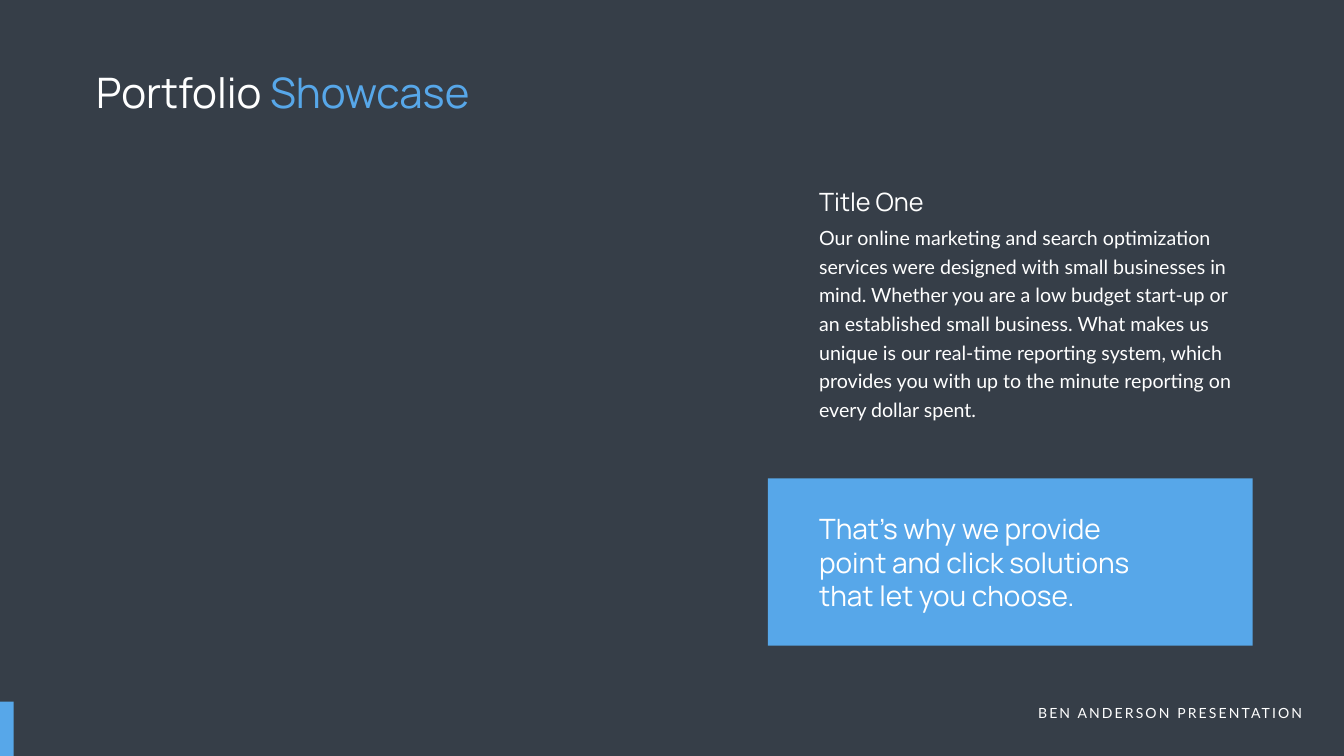
from pptx import Presentation
from pptx.dml.color import RGBColor
from pptx.enum.shapes import MSO_SHAPE as Shape
from pptx.enum.text import MSO_AUTO_SIZE as AutoSize, PP_ALIGN as Align
from pptx.util import Pt

WHITE, BLUE, SLATE = "FFFFFF", "57A7E9", "363E48"
HEADING, BODY = "Manrope", "Lato"
COLUMN_LEFT = 1162.8
FOOTER_TOP = 1002.24


def paint(fill, color):
    """Fill with a solid hex colour."""
    fill.solid()
    fill.fore_color.rgb = RGBColor.from_string(color)


def add_block(shapes, left, top, width, height):
    """Add a blue rectangle without outline."""
    block = shapes.add_shape(Shape.RECTANGLE, Pt(left), Pt(top), Pt(width), Pt(height))
    block.shadow.inherit = False
    paint(block.fill, BLUE)
    block.line.fill.background()


def add_text(shapes, text, left, top, width, height, *, size, font=HEADING,
             align=Align.LEFT, line=None, tracking=None, accent=None):
    """Add a wrapped white text box, with an optional blue ending."""
    box = shapes.add_textbox(Pt(left), Pt(top), Pt(width), Pt(height))
    box.text_frame.word_wrap = True
    box.text_frame.auto_size = AutoSize.SHAPE_TO_FIT_TEXT
    para = box.text_frame.paragraphs[0]
    para.alignment = align
    if line:
        para.line_spacing = Pt(line)
    for words, color in ((text, WHITE), (accent, BLUE)):
        if words:
            span = para.add_run()
            span.text = words
            span.font.name = font
            span.font.size = Pt(size)
            span.font.color.rgb = RGBColor.from_string(color)
            if tracking:
                span.font._element.set("spc", str(tracking * 100))


def add_article(shapes, title, text):
    """Add a grouped title and body text in the right column."""
    article = shapes.add_group_shape().shapes
    add_text(article, text, COLUMN_LEFT, 312.48, 625.68, 293.04,
             size=28, font=BODY, line=40.8)
    add_text(article, title, COLUMN_LEFT, 262.08, 439.2, 51.12, size=36)


def main():
    """Build and save the portfolio slide."""
    deck = Presentation()
    deck.slide_width, deck.slide_height = Pt(1919.52), Pt(1080)
    page = deck.slides.add_slide(deck.slide_layouts[6])
    paint(page.background.fill, SLATE)
    shapes = page.shapes

    add_text(shapes, "Portfolio ", 130.32, 92.16, 702.72, 79.92,
             size=60, accent="Showcase")
    add_text(shapes, "BEN ANDERSON PRESENTATION", 1445.76, FOOTER_TOP, 421.2, 31.68,
             size=20, font=BODY, align=Align.RIGHT, tracking=3)
    add_block(shapes, 0, FOOTER_TOP, 19.44, 1080 - FOOTER_TOP)

    add_block(shapes, 1096.56, 683.28, 692.64, 239.04)
    add_text(shapes, "That’s why we provide point and click solutions that let you choose.",
             COLUMN_LEFT, 727.2, 515.52, 152.64, size=40)
    add_article(shapes, "Title One",
                "Our online marketing and search optimization services were designed "
                "with small businesses in mind. Whether you are a low budget start-up "
                "or an established small business. What makes us unique is our "
                "real-time reporting system, which provides you with up to the minute "
                "reporting on every dollar spent.")
    deck.save("out.pptx")


if __name__ == "__main__":
    main()
